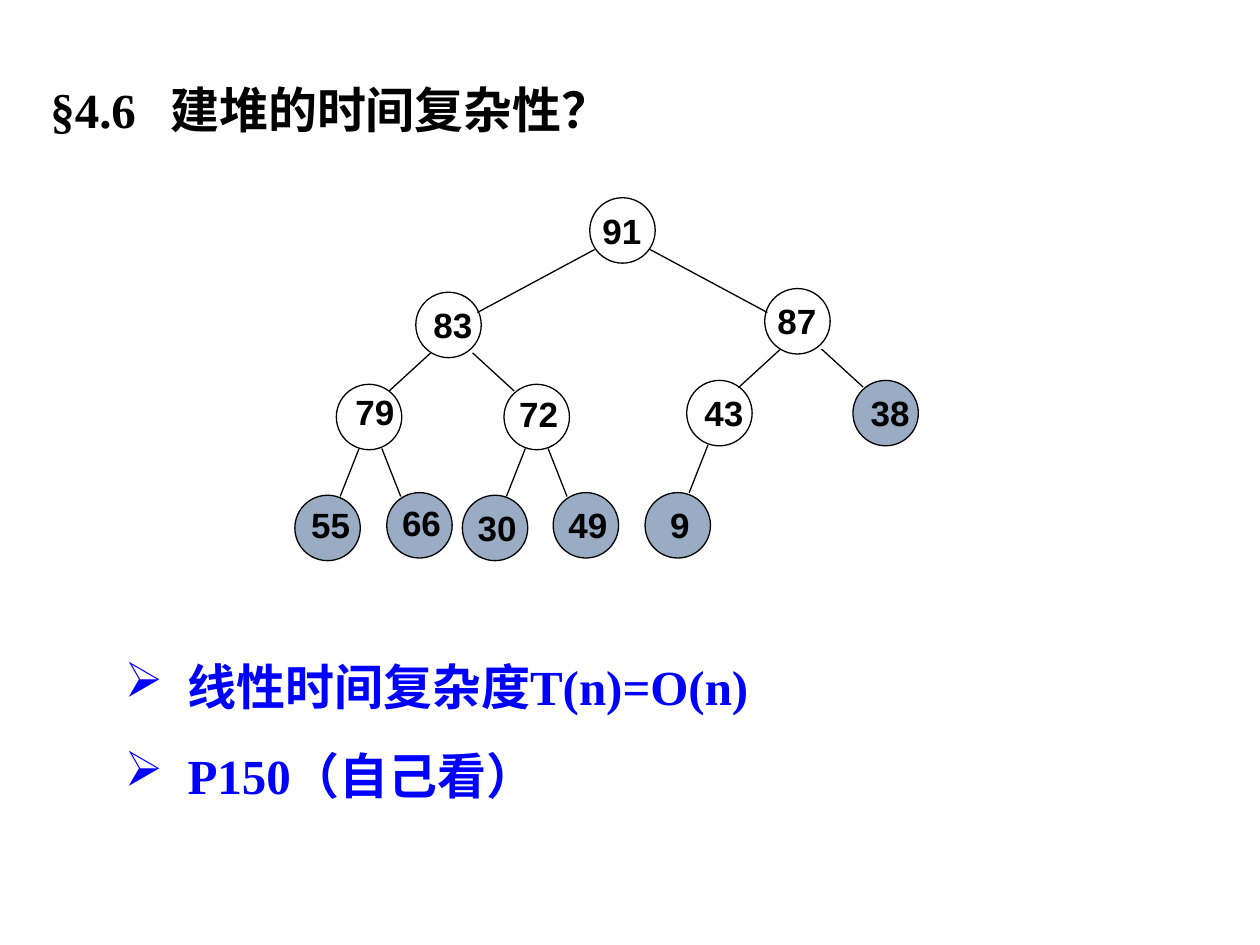
from dataclasses import dataclass

from lxml.etree import SubElement
from pptx import Presentation
from pptx.dml.color import RGBColor
from pptx.enum.shapes import MSO_CONNECTOR as Connector, MSO_SHAPE as Shape
from pptx.enum.text import MSO_AUTO_SIZE as AutoSize, PP_ALIGN as Align
from pptx.oxml.ns import qn
from pptx.util import Pt


@dataclass(frozen=True)
class Theme:
    ink: RGBColor = RGBColor(0, 0, 0)
    accent: RGBColor = RGBColor(0, 0, 255)
    leaf: RGBColor = RGBColor(0x1F, 0x49, 0x7D)
    leaf_alpha: int = 45000
    label_font: str = "Arial"
    text_font: str = "Times New Roman"
    label_size: float = 20
    text_size: float = 28
    line_width: float = 0.75


THEME = Theme()
NODE_SIZE = 37.4
LABEL_WIDTH, LABEL_HEIGHT = 22.3, 20.9

# value, node left, node top, label offset right, label offset down
INNER_NODES = [
    ("91", 337, 113, 7.2, 8),
    ("83", 237.6, 167, 10, 8),
    ("87", 437, 164.9, 7.2, 7.9),
    ("79", 192.2, 219.6, 10.8, 5),
    ("72", 288, 219.6, 8.6, 6.4),
    ("43", 392.4, 217.4, 10.1, 8),
]
LEAF_NODES = [
    ("38", 487.4, 217.4, 10.1, 8),
    ("55", 168.5, 283, 9.3, 6.4),
    ("66", 221, 281.5, 8.7, 6.5),
    ("30", 264.2, 283, 8.7, 7.9),
    ("49", 316.1, 281.5, 8.6, 7.9),
    ("9", 368.6, 281.5, 8.7, 7.9),
]
# run and drop of a level's edges, then starts of its left and right edges
EDGE_LEVELS = [
    (67, 36, [(339.8, 142.6)], [(371.5, 142.6)]),
    (23.8, 21.8, [(246.2, 201.6), (445.7, 199.8)], [(270, 201.6), (469.4, 199.4)]),
    (10.8, 27.4, [(205.2, 256.3), (300.2, 256.3), (404.6, 254.2)],
     [(218.2, 256.3), (313.2, 256.3)]),
]


def style_font(paragraph, name, size, color):
    font = paragraph.font
    font.name, font.size, font.bold = name, Pt(size), True
    font.color.rgb = color


def style_line(line):
    line.color.rgb = THEME.ink
    line.width = Pt(THEME.line_width)


def add_edge(tree, start, run, drop):
    left, top = start
    edge = tree.shapes.add_connector(
        Connector.STRAIGHT, Pt(left), Pt(top), Pt(left + run), Pt(top + drop))
    style_line(edge.line)
    SubElement(edge._element.spPr, qn("a:effectLst"))


def add_node(tree, value, left, top, right, down, is_leaf):
    node = tree.shapes.add_shape(
        Shape.OVAL, Pt(left), Pt(top), Pt(NODE_SIZE), Pt(NODE_SIZE))
    node.shadow.inherit = False
    style_line(node.line)
    if is_leaf:
        node.fill.solid()
        node.fill.fore_color.rgb = THEME.leaf
        color = node._element.spPr.find(qn("a:solidFill"))[0]
        SubElement(color, qn("a:alpha"), val=str(THEME.leaf_alpha))
    else:
        node.fill.background()

    label = tree.shapes.add_textbox(
        Pt(left + right), Pt(top + down), Pt(LABEL_WIDTH), Pt(LABEL_HEIGHT))
    frame = label.text_frame
    frame.margin_left = frame.margin_right = frame.margin_top = frame.margin_bottom = 0
    frame.word_wrap = False
    para = frame.paragraphs[0]
    para.text, para.alignment, para.line_spacing = value, Align.CENTER, 0.96
    style_font(para, THEME.label_font, THEME.label_size, THEME.ink)


def add_heap(page):
    tree = page.shapes.add_group_shape()
    for run, drop, left_starts, right_starts in EDGE_LEVELS:
        for start in left_starts:
            add_edge(tree, start, -run, drop)
        for start in right_starts:
            add_edge(tree, start, run, drop)
    for nodes, is_leaf in ((INNER_NODES, False), (LEAF_NODES, True)):
        for node in nodes:
            add_node(tree, *node, is_leaf)


def add_text_frame(page, left, top, width, height):
    box = page.shapes.add_textbox(Pt(left), Pt(top), Pt(width), Pt(height))
    frame = box.text_frame
    frame.word_wrap = True
    frame.auto_size = AutoSize.SHAPE_TO_FIT_TEXT
    return frame


def add_title(page, number, title):
    frame = add_text_frame(page, 20.2, 41.8, 403.2, 41)
    frame.margin_left, frame.margin_right = Pt(8.6), Pt(11.5)
    para = frame.paragraphs[0]
    para.text = f"{number}\t{title}"
    tabs = SubElement(para._p.get_or_add_pPr(), qn("a:tabLst"))
    SubElement(tabs, qn("a:tab"), pos=str(Pt(68.5)), algn="l")
    style_font(para, THEME.text_font, THEME.text_size, THEME.ink)


def add_bullets(page, items):
    frame = add_text_frame(page, 64.1, 355, 596.2, 103.7)
    for index, item in enumerate(items):
        para = frame.add_paragraph() if index else frame.paragraphs[0]
        para.text, para.line_spacing = item, 1.5
        properties = para._p.get_or_add_pPr()
        properties.set("marL", str(Pt(36)))
        properties.set("indent", str(Pt(-36)))
        SubElement(properties, qn("a:buChar"), char="➢")
        style_font(para, THEME.text_font, THEME.text_size, THEME.accent)


def main():
    deck = Presentation()
    deck.slide_width, deck.slide_height = Pt(720), Pt(540)
    page = deck.slides.add_slide(deck.slide_layouts[6])
    add_heap(page)
    add_bullets(page, ["线性时间复杂度T(n)=O(n)", "P150（自己看）"])
    add_title(page, "§4.6", "建堆的时间复杂性？")
    deck.save("out.pptx")


if __name__ == "__main__":
    main()
